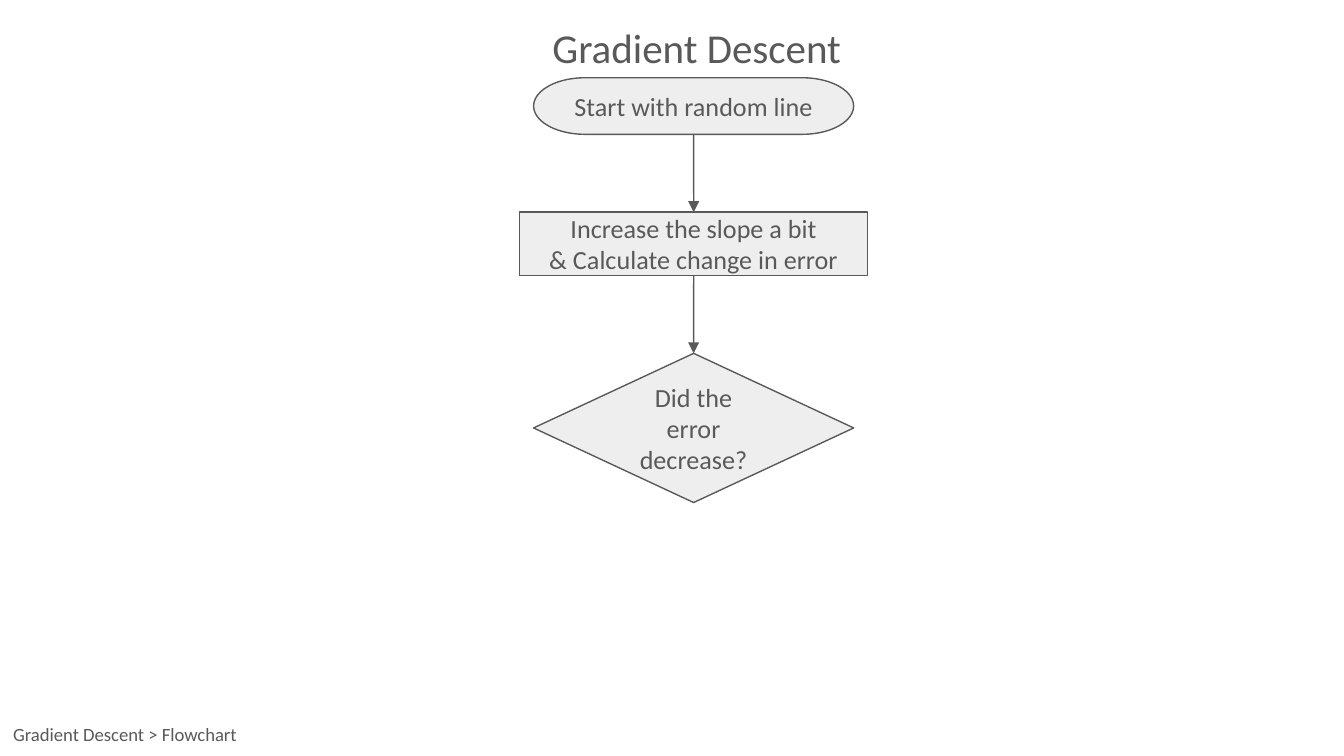
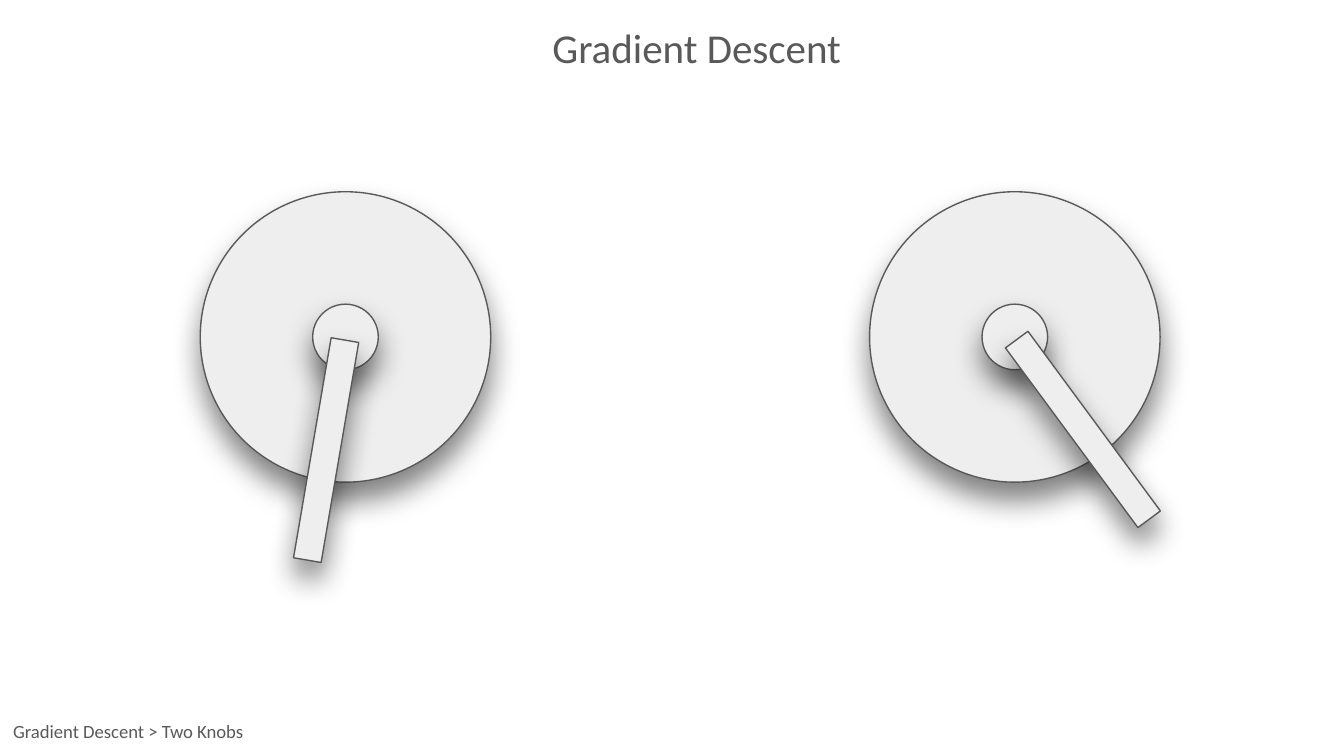
from math import cos, radians, sin

from lxml.etree import SubElement
from pptx import Presentation
from pptx.dml.color import RGBColor
from pptx.enum.shapes import MSO_CONNECTOR as Link, MSO_SHAPE as Form
from pptx.enum.text import MSO_ANCHOR as Anchor, PP_ALIGN as Align
from pptx.oxml.ns import qn
from pptx.util import Cm, Pt

GREY = RGBColor(0x59, 0x59, 0x59)
PALE = RGBColor(0xEE, 0xEE, 0xEE)
FONT = "Calibri"
TITLE = "Gradient Descent"
INSET = Cm(0.25)
OUTLINE = Pt(0.75)

# Flowchart, in cm
FLOW_GAP = 1.47
STEPS = [
    (Form.FLOWCHART_TERMINATOR, 6.05, 1.07, ["Start with random line"]),
    (Form.FLOWCHART_PROCESS, 6.58, 1.2,
     ["Increase the slope a bit", "& Calculate change in error"]),
    (Form.DIAMOND, 6.05, 2.82, ["Did the error decrease?"]),
]
TOP_SITE, BOTTOM_SITE = 0, 2

# Knobs, in cm: the pointer centre lies REACH away from the dial centre
DIAL, HUB, REACH = 5.49, 1.24, 2.17
POINTER_WIDTH, POINTER_LENGTH = 0.53, 4.22


def write(box, lines, size, align=Align.LEFT, anchor=Anchor.TOP, spacing=None):
    frame = box.text_frame
    frame.word_wrap = True
    frame.vertical_anchor = anchor
    frame.margin_left = frame.margin_right = INSET
    frame.margin_top = frame.margin_bottom = INSET
    for index, line in enumerate(lines):
        para = frame.add_paragraph() if index else frame.paragraphs[0]
        para.alignment = align
        para.line_spacing = spacing
        span = para.add_run()
        span.text = line
        span.font.name = FONT
        span.font.size = Pt(size)
        span.font.color.rgb = GREY


def add_part(page, form, center_x, center_y, width, height):
    """Add a pale, outlined shape around its centre."""
    part = page.shapes.add_shape(
        form, Cm(center_x - width / 2), Cm(center_y - height / 2),
        Cm(width), Cm(height))
    part.shadow.inherit = False
    part.fill.solid()
    part.fill.fore_color.rgb = PALE
    part.line.color.rgb = GREY
    part.line.width = OUTLINE
    return part


def cast_shadow(part):
    effects = part._element.spPr.find(qn("a:effectLst"))
    shadow = SubElement(
        effects, qn("a:outerShdw"), blurRad=str(Pt(15.75)), dist=str(Pt(9)),
        dir="5400000", algn="bl", rotWithShape="0")
    color = SubElement(shadow, qn("a:srgbClr"), val="000000")
    SubElement(color, qn("a:alpha"), val="50000")


def add_arrow(page, upper, lower):
    arrow = page.shapes.add_connector(Link.STRAIGHT, 0, 0, 0, 0)
    arrow.begin_connect(upper, BOTTOM_SITE)
    arrow.end_connect(lower, TOP_SITE)
    arrow.line.color.rgb = GREY
    arrow.line.width = OUTLINE
    SubElement(arrow.line._get_or_add_ln(), qn("a:tailEnd"), type="triangle")
    SubElement(arrow._element.spPr, qn("a:effectLst"))


def add_title(page):
    box = page.shapes.add_textbox(Cm(2.49), 0, Cm(21.36), Cm(1.47))
    write(box, [TITLE], 22, Align.CENTER, spacing=1.18)


def add_footer(page, topic, top, width, anchor):
    box = page.shapes.add_textbox(0, Cm(top), Cm(width), Cm(0.76))
    write(box, [f"{TITLE} > {topic}"], 10, anchor=anchor)


def add_flowchart(page, center_x, top):
    previous = None
    for form, width, height, lines in STEPS:
        step = add_part(page, form, center_x, top + height / 2, width, height)
        write(step, lines, 14, Align.CENTER, Anchor.MIDDLE)
        if previous:
            add_arrow(page, previous, step)
        previous = step
        top += height + FLOW_GAP


def add_knob(page, center_x, center_y, angle):
    dial = add_part(page, Form.OVAL, center_x, center_y, DIAL, DIAL)
    hub = add_part(page, Form.FLOWCHART_CONNECTOR, center_x, center_y, HUB, HUB)
    pointer = add_part(
        page, Form.RECTANGLE,
        center_x - REACH * sin(radians(angle)),
        center_y + REACH * cos(radians(angle)),
        POINTER_WIDTH, POINTER_LENGTH)
    pointer.rotation = angle
    for part in (dial, hub, pointer):
        cast_shadow(part)


def flowchart_page(page):
    add_flowchart(page, 13.11, 1.47)
    add_title(page)
    add_footer(page, "Flowchart", 13.49, 5.51, Anchor.MIDDLE)


def knobs_page(page):
    add_title(page)
    for center_x, angle in ((6.53, 9.7), (19.18, 323.6)):
        add_knob(page, center_x, 6.37, angle)
    add_footer(page, "Two Knobs", 13.39, 5.97, Anchor.TOP)


def main():
    deck = Presentation()
    deck.slide_width, deck.slide_height = Cm(25.4), Cm(14.29)
    blank = deck.slide_layouts[6]
    for fill_page in (flowchart_page, knobs_page):
        fill_page(deck.slides.add_slide(blank))
    deck.save("out.pptx")


if __name__ == "__main__":
    main()
